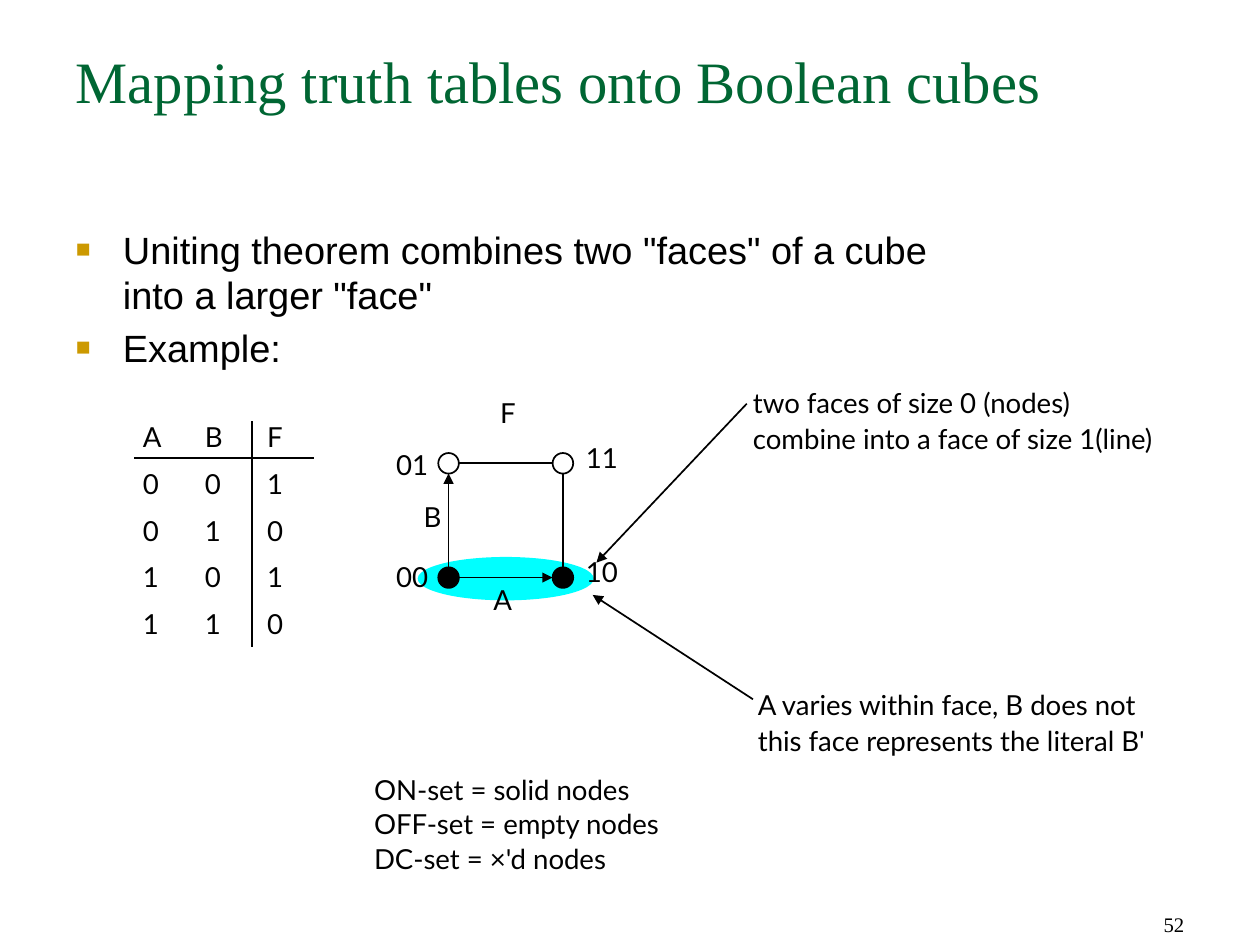
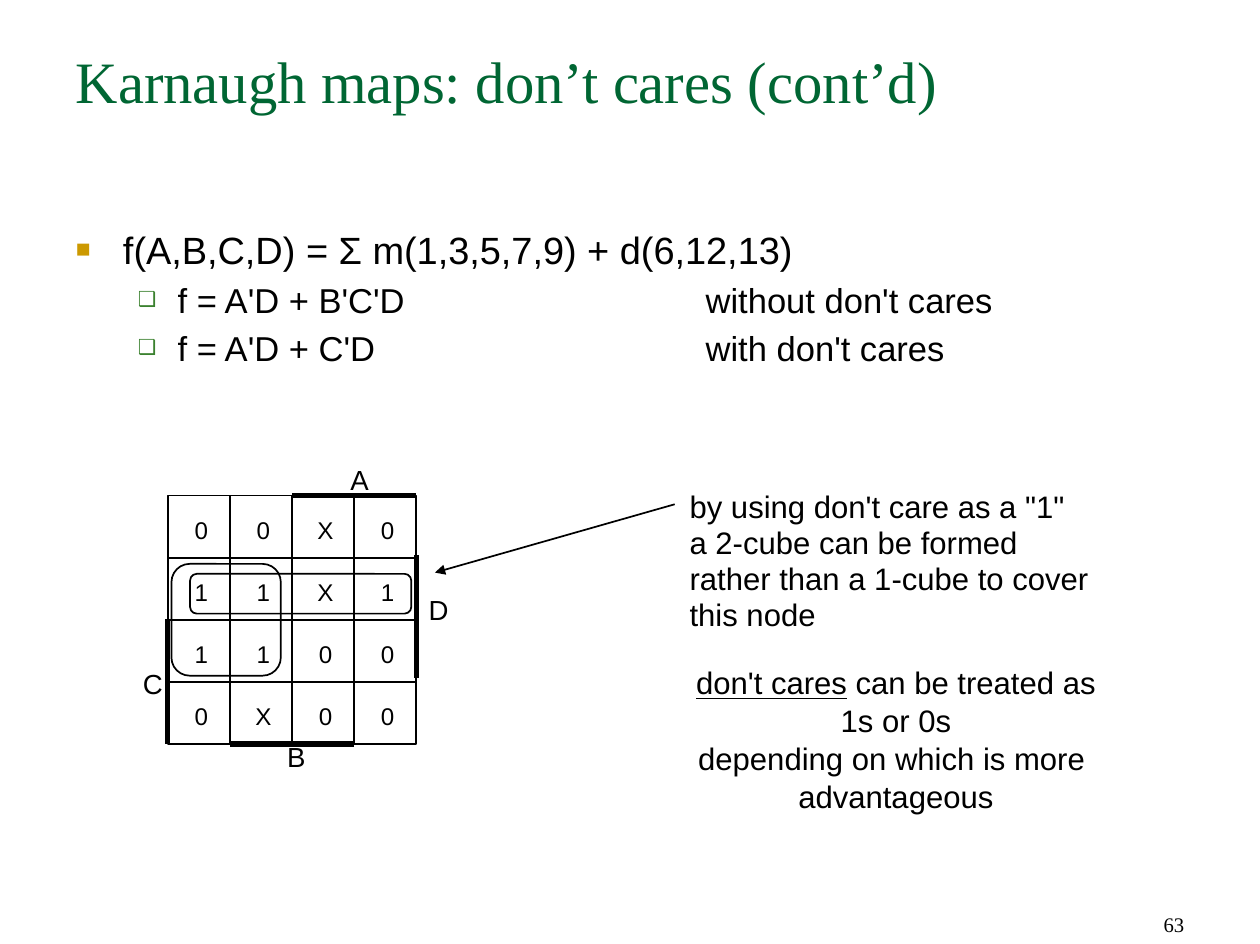
from dataclasses import dataclass

import pptx
import pptx.dml.color
import pptx.enum.shapes
import pptx.enum.text
import pptx.oxml.ns
import pptx.util
from lxml import etree

Pt = pptx.util.Pt
Inches = pptx.util.Inches
Shape = pptx.enum.shapes.MSO_SHAPE
Align = pptx.enum.text.PP_ALIGN
Anchor = pptx.enum.text.MSO_ANCHOR
qn = pptx.oxml.ns.qn


@dataclass(frozen=True)
class Theme:
    ink: str = "000000"
    paper: str = "FFFFFF"
    title_green: str = "006633"
    face: str = "00FFFF"
    serif: str = "Times New Roman"
    sans: str = "Arial"
    humanist: str = "Lato"
    title_size: int = 34
    page_size: int = 12
    list_sizes: tuple = (22, 20)
    note_size: int = 18
    label_size: int = 16
    map_size: int = 14
    thin: int = 1
    thick: int = 3
    bullets: tuple = (
        ("■", "CC9900", 65, 0.38, -0.38),
        ("❑", "3B812F", 60, 0.82, -0.32),
    )
    tab: int = 73


@dataclass(frozen=True)
class Grid:
    left: float
    top: float
    cell: float = 1

    def point(self, column, row):
        return Inches(self.left + column * self.cell), Inches(self.top + row * self.cell)

    def box(self, column, row, columns, rows):
        return (*self.point(column, row), Inches(columns * self.cell), Inches(rows * self.cell))


THEME = Theme()
PAGE = Grid(0, 0)
TITLE_BOX = PAGE.box(0.51, 0.31, 9.12, 1.26)
LIST_BOX = PAGE.box(0.51, 1.77, 9.12, 5.02)
NUMBER_BOX = PAGE.box(7.26, 7.08, 2.37, 0.51)


def rgb(color):
    return pptx.dml.color.RGBColor.from_string(color)


def add_node(parent, tag, **attributes):
    return etree.SubElement(parent, qn(tag), {key: str(value) for key, value in attributes.items()})


def style(paragraph, size, family, color=THEME.ink, align=Align.LEFT, leading=None):
    paragraph.alignment = align
    if leading:
        paragraph.line_spacing = Pt(leading)
    font = paragraph.font
    font.size = Pt(size)
    font.name = family
    font.color.rgb = rgb(color)


def place(shape, box):
    shape.left, shape.top, shape.width, shape.height = box


def add_text(slide, box, text, size, family, leading, align=Align.LEFT):
    frame = slide.shapes.add_textbox(*box).text_frame
    frame.word_wrap = True
    frame.margin_left = frame.margin_right = Inches(0.02)
    frame.margin_top = frame.margin_bottom = Inches(0.03)
    paragraph = frame.paragraphs[0]
    paragraph.text = text
    style(paragraph, size, family, align=align, leading=leading)
    return paragraph


def add_line(slide, start, end, width=THEME.thin, arrow=False):
    line = slide.shapes.add_connector(pptx.enum.shapes.MSO_CONNECTOR.STRAIGHT, *start, *end)
    line.line.color.rgb = rgb(THEME.ink)
    line.line.width = Pt(width)
    properties = line._element.spPr
    if arrow:
        add_node(properties.find(qn("a:ln")), "a:tailEnd", type="triangle")
    add_node(properties, "a:effectLst")


def add_figure(slide, kind, box, fill=None, outlined=True):
    figure = slide.shapes.add_shape(kind, *box)
    figure.shadow.inherit = False
    if fill:
        figure.fill.solid()
        figure.fill.fore_color.rgb = rgb(fill)
    else:
        figure.fill.background()
    if outlined:
        figure.line.color.rgb = rgb(THEME.ink)
        figure.line.width = Pt(THEME.thin)
    else:
        figure.line.fill.background()


def clear_borders(cell):
    properties = cell._tc.get_or_add_tcPr()
    for position, side in enumerate("LRTB"):
        border = etree.Element(qn("a:ln" + side))
        add_node(border, "a:noFill")
        properties.insert(position, border)


def add_value_table(slide, box, rows, widths, size, family, align, margins):
    table = slide.shapes.add_table(len(rows), len(widths), *box).table
    table.first_row = table.horz_banding = False
    for column, width in zip(table.columns, widths):
        column.width = Inches(width)
    for r, row in enumerate(rows):
        for c, value in enumerate(row):
            cell = table.cell(r, c)
            cell.fill.background()
            cell.margin_left = Inches(margins[c])
            cell.margin_right = cell.margin_top = cell.margin_bottom = 0
            cell.vertical_anchor = Anchor.MIDDLE
            cell.text = value
            style(cell.text_frame.paragraphs[0], size, family, align=align)
            clear_borders(cell)


def add_bullet(paragraph, level):
    glyph, color, scale, margin, indent = THEME.bullets[level]
    paragraph.level = level
    properties = paragraph._p.get_or_add_pPr()
    properties.set("marL", str(Inches(margin)))
    properties.set("indent", str(Inches(indent)))
    properties.set("defTabSz", str(Pt(THEME.tab)))
    add_node(add_node(properties, "a:buClr"), "a:srgbClr", val=color)
    add_node(properties, "a:buSzPct", val=scale * 1000)
    add_node(properties, "a:buFont", typeface=THEME.sans)
    add_node(properties, "a:buChar", char=glyph)


def add_page(deck, title, items, number):
    slide = deck.slides.add_slide(deck.slide_layouts[1])
    heading, body = slide.placeholders
    for holder, box in ((heading, TITLE_BOX), (body, LIST_BOX)):
        place(holder, box)
        holder.text_frame.vertical_anchor = Anchor.TOP
        holder.text_frame.auto_size = pptx.enum.text.MSO_AUTO_SIZE.NONE
    heading.text_frame.text = title
    style(heading.text_frame.paragraphs[0], THEME.title_size, THEME.serif, THEME.title_green)
    for position, (level, text) in enumerate(items):
        frame = body.text_frame
        paragraph = frame.add_paragraph() if position else frame.paragraphs[0]
        paragraph.text = text
        add_bullet(paragraph, level)
        style(paragraph, THEME.list_sizes[level], THEME.sans)
    footer = slide.shapes.add_textbox(*NUMBER_BOX).text_frame
    footer.word_wrap = True
    footer.vertical_anchor = Anchor.BOTTOM
    footer.text = number
    style(footer.paragraphs[0], THEME.page_size, THEME.serif, align=Align.RIGHT)
    return slide


def add_labels(slide, grid, labels, family):
    for text, column, row in labels:
        add_text(slide, grid.box(column, row, 1, 0.4), text, THEME.label_size, family, 16)


def add_truth_table(slide, grid):
    add_value_table(
        slide, grid.box(0, 0, 1.45, 1.88), ("ABF", "001", "010", "101", "110"),
        (0.5, 0.45, 0.5), THEME.label_size, THEME.humanist, Align.LEFT, (0.07, 0.07, 0.12),
    )
    add_line(slide, grid.point(0, 0.36), grid.point(1.45, 0.36))
    add_line(slide, grid.point(0.95, 0.06), grid.point(0.95, 1.88))


def add_cube(slide, grid):
    radius = 0.09
    add_figure(slide, Shape.OVAL, grid.box(-0.27, 0.82, 1.54, 0.38), THEME.face, outlined=False)
    labels = (
        ("F", 0.43, -0.57), ("01", -0.48, -0.12), ("11", 1.18, -0.18),
        ("00", -0.48, 0.86), ("10", 1.18, 0.82), ("A", 0.37, 1.06), ("B", -0.24, 0.34),
    )
    add_labels(slide, grid, labels, THEME.humanist)
    for row, arrow in ((0, False), (1, True)):
        add_line(slide, grid.point(radius, row), grid.point(1 - radius, row), arrow=arrow)
    for column, arrow in ((0, True), (1, False)):
        add_line(slide, grid.point(column, 1 - radius), grid.point(column, radius), arrow=arrow)
    for row, fill in enumerate((THEME.paper, THEME.ink)):
        for column in range(2):
            node = grid.box(column - radius, row - radius, 2 * radius, 2 * radius)
            add_figure(slide, Shape.OVAL, node, fill)


def add_karnaugh_map(slide, grid):
    add_value_table(
        slide, grid.box(0, 0.07, 4, 4), ("00X0", "11X1", "1100", "0X00"),
        (grid.cell,) * 4, THEME.map_size, THEME.sans, Align.CENTER, (0.04,) * 4,
    )
    for row in (0, 2):
        for column in (0, 2):
            add_figure(slide, Shape.RECTANGLE, grid.box(column, row, 2, 2))
            add_line(slide, grid.point(column + 1, row), grid.point(column + 1, row + 2))
            add_line(slide, grid.point(column + 2, row + 1), grid.point(column, row + 1))
    bars = (((2, 0), (4, 0)), ((4, 0.96), (4, 2.94)), ((1, 4), (3, 4)), ((0, 1.98), (0, 4)))
    for start, end in bars:
        add_line(slide, grid.point(*start), grid.point(*end), THEME.thick)
    labels = (("A", 2.9, -0.5), ("D", 4.16, 1.59), ("B", 1.88, 3.96), ("C", -0.44, 2.79))
    add_labels(slide, grid, labels, THEME.sans)
    for loop in ((0.06, 1.1, 1.76, 1.8), (0.36, 1.26, 3.56, 0.64)):
        add_figure(slide, Shape.ROUNDED_RECTANGLE, grid.box(*loop))


def add_callout(slide, box, text, size, family, start, end):
    add_text(slide, box, text, size, family, 21)
    add_line(slide, start, end, arrow=True)


def build_cube_page(deck):
    items = (
        (0, 'Uniting theorem combines two "faces" of a cube\vinto a larger "face"'),
        (0, "Example:"),
    )
    slide = add_page(deck, "Mapping truth tables onto Boolean cubes", items, "52")
    add_truth_table(slide, Grid(1.08, 3.33))
    add_cube(slide, Grid(3.61, 3.73, 0.92))
    callouts = (
        ((6.04, 3.05, 3.46, 0.7), "two faces of size 0 (nodes)\vcombine into a face of size 1(line)",
         (6.01, 3.25), (4.8, 4.53)),
        ((6.08, 5.48, 3.5, 0.67), "A varies within face, B does not\vthis face represents the literal B'",
         (6.06, 5.63), (4.77, 4.79)),
    )
    for box, text, start, end in callouts:
        add_callout(slide, PAGE.box(*box), text, THEME.label_size, THEME.humanist,
                    PAGE.point(*start), PAGE.point(*end))
    legend = "ON-set = solid nodes\vOFF-set = empty nodes\vDC-set = ×'d nodes"
    add_text(slide, PAGE.box(2.99, 6.18, 2.49, 0.97), legend, THEME.label_size, THEME.humanist, 20)


def build_karnaugh_page(deck):
    items = (
        (0, "f(A,B,C,D) = Σ m(1,3,5,7,9) + d(6,12,13)"),
        (1, "f = A'D + B'C'D\t\t\twithout don't cares"),
        (1, "f = A'D + C'D\t\t\twith don't cares"),
    )
    slide = add_page(deck, "Karnaugh maps: don’t cares (cont’d)", items, "63")
    add_karnaugh_map(slide, Grid(1.35, 3.99, 0.5))
    reason = 'by using don\'t care as a "1"\va 2-cube can be formed\vrather than a 1-cube to cover\vthis node'
    add_callout(slide, PAGE.box(5.53, 3.9, 4.03, 1.31), reason, THEME.note_size, THEME.sans,
                PAGE.point(5.43, 4.06), PAGE.point(3.5, 4.61))
    advice = add_text(slide, PAGE.box(5.34, 5.31, 3.74, 1.64), "don't cares",
                      THEME.note_size, THEME.sans, 22, Align.CENTER)
    advice.runs[0].font.underline = True
    lines = (" can be treated as", "1s or 0s", "depending on which is more ", "advantageous")
    for position, line in enumerate(lines):
        if position:
            advice.add_line_break()
        advice.add_run().text = line


def main():
    deck = pptx.Presentation()
    deck.slide_width, deck.slide_height = Inches(10.14), Inches(7.6)
    build_cube_page(deck)
    build_karnaugh_page(deck)
    deck.save("out.pptx")


if __name__ == "__main__":
    main()
